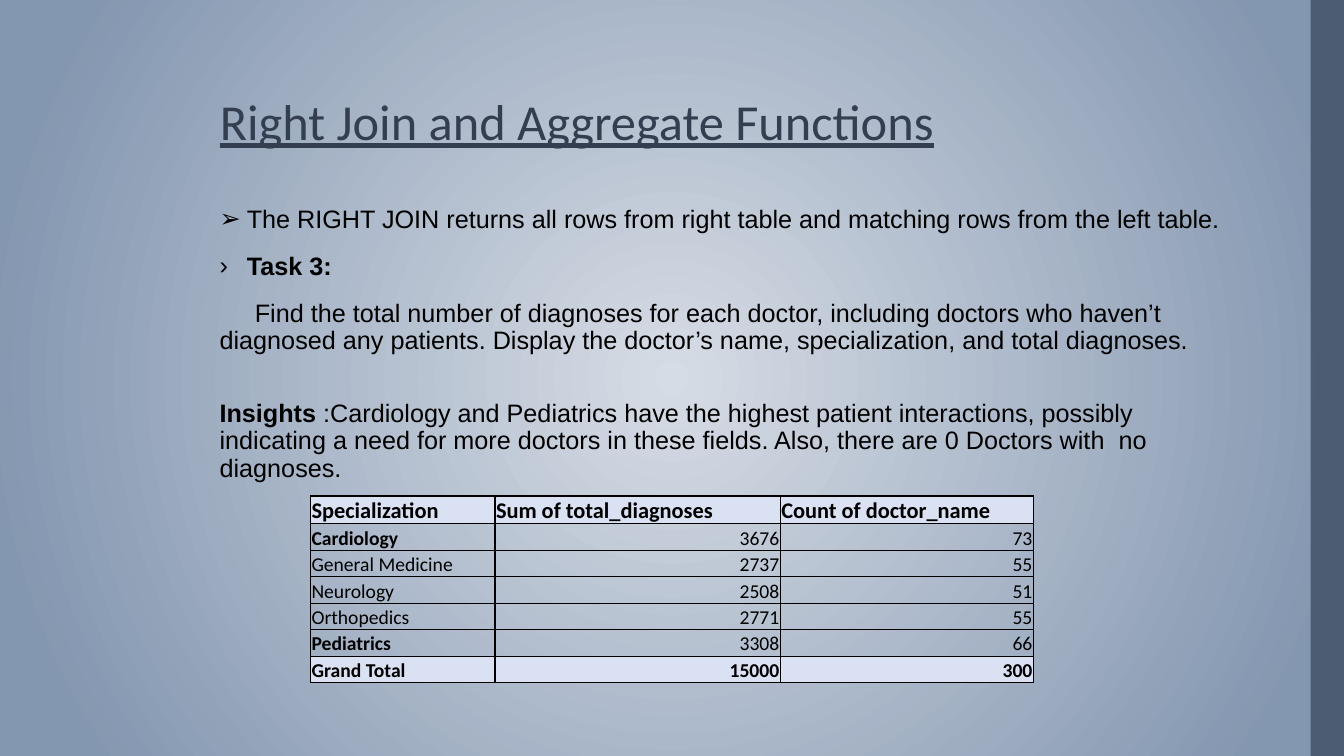
import pptx
import pptx.dml.color
import pptx.enum.shapes
import pptx.enum.text
import pptx.oxml
import pptx.oxml.ns
import pptx.util

WIDTH, HEIGHT = 13.33, 7.5
COLORS = {"center": "D6DCE5", "edge": "8497B0", "sidebar": "44546A",
          "title": "333F50", "text": "000000", "band": "D9E1F2"}
BULLETS = [("➢", "The RIGHT JOIN returns all rows from right table and matching "
            "rows from the left table.", False),
           ("›", "Task 3:", True)]
TASK = ("Find the total number of diagnoses for each doctor, including doctors who "
        "haven’t diagnosed any patients. Display the doctor’s name, specialization, "
        "and total diagnoses.")
INSIGHTS = (":Cardiology and Pediatrics have the highest patient interactions, possibly "
            "indicating a need for more doctors in these fields. Also, there are 0 "
            "Doctors with  no diagnoses.")
TABLE = [("Specialization", "Sum of total_diagnoses", "Count of doctor_name"),
         ("Cardiology", 3676, 73),
         ("General Medicine", 2737, 55),
         ("Neurology", 2508, 51),
         ("Orthopedics", 2771, 55),
         ("Pediatrics", 3308, 66),
         ("Grand Total", 15000, 300)]
COLUMN_SHARES = (1.83, 2.83, 2.51)
TOP_SPECIALTIES = ("Cardiology", "Pediatrics")

inch = pptx.util.Inches
pt = pptx.util.Pt
qn = pptx.oxml.ns.qn


def rgb(name):
    return pptx.dml.color.RGBColor.from_string(COLORS[name])


def xml(tag, attrs="", inner=""):
    return pptx.oxml.parse_xml(
        f'<a:{tag} {pptx.oxml.ns.nsdecls("a")} {attrs}>{inner}</a:{tag}>')


def style(r, size, font, color="text", bold=False):
    r.font.size, r.font.name, r.font.bold = pt(size), font, bold
    r.font.color.rgb = rgb(color)


def paint_background(s):
    fill = s.background.fill
    fill.gradient()
    for stop, name, position in zip(fill.gradient_stops, ("center", "edge"), (0, 0.9)):
        stop.color.rgb = rgb(name)
        stop.position = position
    lin = next(s.element.iter(qn("a:lin")))
    lin.getparent().replace(lin, xml(
        "path", 'path="circle"', '<a:fillToRect l="50000" t="50000" r="50000" b="50000"/>'))


def add_sidebar(s, x, y, w, h):
    bar = s.shapes.add_shape(pptx.enum.shapes.MSO_SHAPE.RECTANGLE,
                             inch(x), inch(y), inch(w), inch(h))
    bar.shadow.inherit = False
    bar.line.fill.background()
    bar.fill.solid()
    bar.fill.fore_color.rgb = rgb("sidebar")
    color = bar.element.spPr.find(qn("a:solidFill"))[0]
    color.append(xml("alpha", 'val="87000"'))


def add_title(s, x, y, w, h):
    title = s.shapes.title
    title.left, title.top, title.width, title.height = map(inch, (x, y, w, h))
    tf = title.text_frame
    tf.text = "Right Join and Aggregate Functions"
    tf.vertical_anchor = pptx.enum.text.MSO_ANCHOR.BOTTOM
    p = tf.paragraphs[0]
    p.alignment = pptx.enum.text.PP_ALIGN.LEFT
    p.line_spacing = 0.9
    style(p.runs[0], 36, "Calibri", "title")
    p.runs[0].font.underline = True


def add_body(s, x, y, w, h):
    tf = s.shapes.add_textbox(inch(x), inch(y), inch(w), inch(h)).text_frame
    tf.word_wrap = True

    def add_paragraph(parts, before=14, margin=0, indent=0, bullet=None):
        p = tf.add_paragraph() if tf.text else tf.paragraphs[0]
        pPr = p._p.get_or_add_pPr()
        pPr.set("marL", str(inch(margin)))
        pPr.set("indent", str(inch(indent)))
        if bullet:
            pPr.append(xml("buFont", 'typeface="Arial"'))
            pPr.append(xml("buChar", f'char="{bullet}"'))
        p.line_spacing = 0.9
        p.space_before = pt(before)
        for text, bold in parts:
            r = p.add_run()
            r.text = text
            style(r, 18, "Arial", bold=bold)

    for i, (bullet, text, bold) in enumerate(BULLETS):
        add_paragraph([(text, bold)], 14 if i else 0, 0.27, -0.27, bullet)
    add_paragraph([(TASK, False)], indent=0.35)
    add_paragraph([("Insights ", True), (INSIGHTS, False)], before=33)


def format_cell(cell, text, size, bold, shaded, right):
    cell.margin_left = cell.margin_right = cell.margin_top = inch(0.01)
    cell.margin_bottom = 0
    cell.vertical_anchor = pptx.enum.text.MSO_ANCHOR.BOTTOM
    cell.text_frame.text = str(text)
    p = cell.text_frame.paragraphs[0]
    align = pptx.enum.text.PP_ALIGN
    p.alignment = align.RIGHT if right else align.LEFT
    style(p.runs[0], size, "Calibri", bold=bold)
    if shaded:
        cell.fill.solid()
        cell.fill.fore_color.rgb = rgb("band")
    else:
        cell.fill.background()
    tcPr = cell._tc.get_or_add_tcPr()
    for i, side in enumerate("LRTB"):
        tcPr.insert(i, xml(f"ln{side}", f'w="{pt(1)}"',
                           f'<a:solidFill><a:srgbClr val="{COLORS["text"]}"/></a:solidFill>'))


def add_diagnosis_table(s, x, y, w, h):
    last = len(TABLE) - 1
    table = s.shapes.add_table(len(TABLE), len(COLUMN_SHARES),
                               inch(x), inch(y), inch(w), inch(h)).table
    table.first_row = table.horz_banding = False
    for column, share in zip(table.columns, COLUMN_SHARES):
        column.width = inch(w * share / sum(COLUMN_SHARES))
    for i, values in enumerate(TABLE):
        table.rows[i].height = inch(h / len(TABLE))
        shaded = i in (0, last)
        for j, value in enumerate(values):
            format_cell(table.cell(i, j), value, 14 if i else 16,
                        shaded or value in TOP_SPECIALTIES, shaded, i > 0 and j > 0)


def main():
    prs = pptx.Presentation()
    prs.slide_width, prs.slide_height = inch(WIDTH), inch(HEIGHT)
    s = prs.slides.add_slide(prs.slide_layouts[5])
    paint_background(s)
    add_sidebar(s, WIDTH - 0.33, 0, 0.33, HEIGHT)
    left, width = 2.08, 10.36
    add_title(s, left, 0.19, width, 1.36)
    add_body(s, left, 2, width, 4.75)
    add_diagnosis_table(s, left + 1, 4.92, 7.17, 1.84)
    prs.save("out.pptx")


if __name__ == "__main__":
    main()
